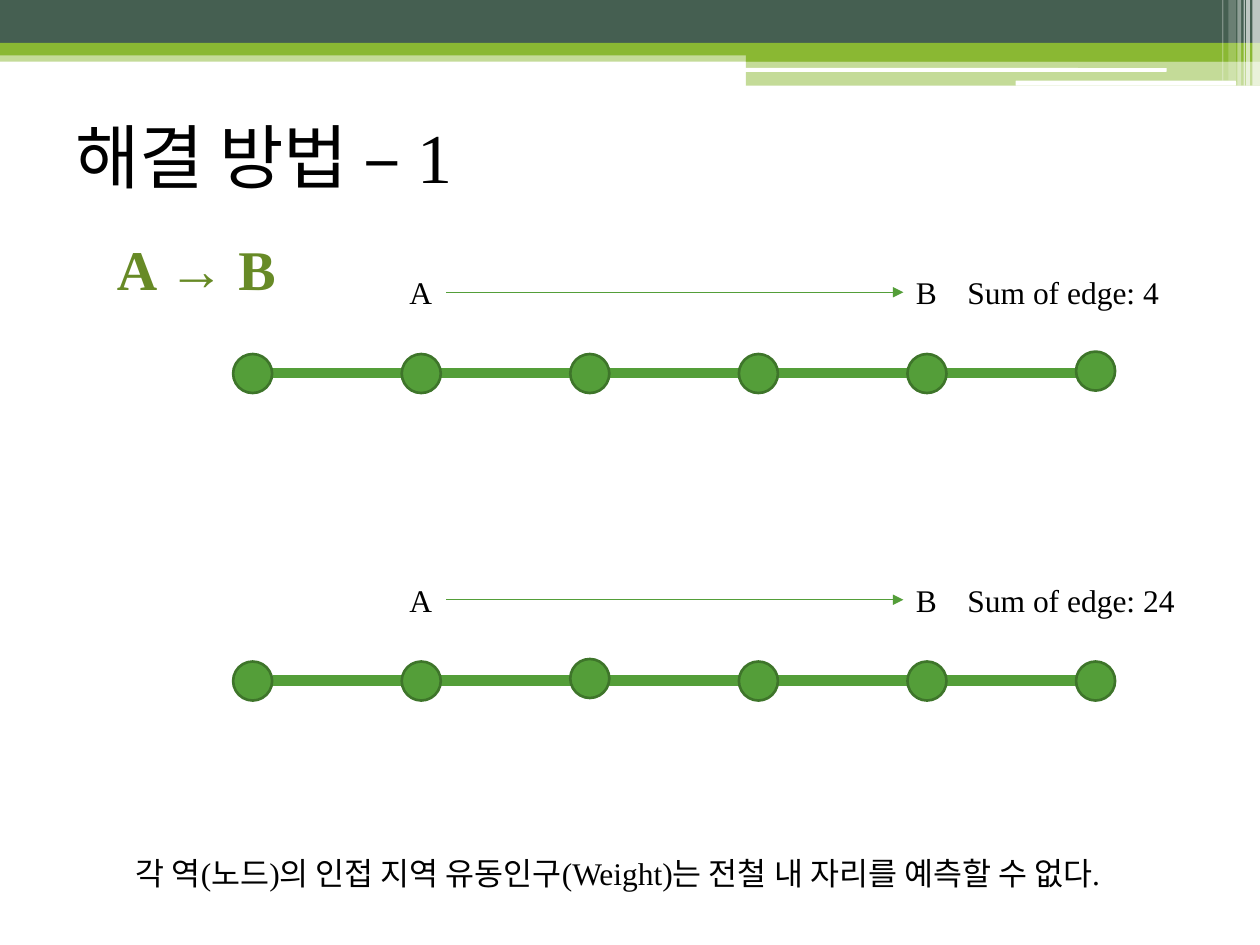
from dataclasses import dataclass

from lxml.etree import SubElement
from pptx import Presentation
from pptx.dml.color import RGBColor
from pptx.enum.shapes import MSO_CONNECTOR as CONN, MSO_SHAPE as SHAPE
from pptx.enum.text import MSO_ANCHOR as ANCHOR
from pptx.oxml.ns import qn
from pptx.util import Inches, Pt


@dataclass(frozen=True)
class Theme:
    font: str = "Times New Roman"
    text: str = "000000"
    heading: str = "678A26"
    dark: str = "455F51"
    lime: str = "8AB833"
    white: str = "FFFFFF"
    node: str = "549E39"
    node_line: str = "3E752A"
    title_size: int = 40
    heading_size: int = 32
    body_size: int = 18


THEME = Theme()
NODE_COUNT, NODE_LEFT, NODE_PITCH, NODE_SIZE = 6, 1.85, 1.338, 0.31


def rgb(color):
    return RGBColor.from_string(color)


def add_filled(slide, kind, box, color, opacity=100):
    """Add an unlined preset shape; box is left, top, width, height in inches."""
    sp = slide.shapes.add_shape(kind, *map(Inches, box))
    sp.shadow.inherit = False
    sp.fill.solid()
    sp.fill.fore_color.rgb = rgb(color)
    sp.line.fill.background()
    if opacity < 100:
        clr = sp._element.spPr.find(".//" + qn("a:srgbClr"))
        SubElement(clr, qn("a:alpha"), val=str(opacity * 1000))
    return sp


def add_line(slide, x1, x2, y, width, arrow=False):
    line = slide.shapes.add_connector(CONN.STRAIGHT, *map(Inches, (x1, y, x2, y)))
    line.line.color.rgb = rgb(THEME.node)
    line.line.width = Pt(width)
    if arrow:
        SubElement(line.line._get_or_add_ln(), qn("a:tailEnd"), type="triangle")
    SubElement(line._element.spPr, qn("a:effectLst"))


def add_text(slide, box, text, size=THEME.body_size, color=THEME.text,
             bold=False, anchor=ANCHOR.TOP, tab=None):
    tf = slide.shapes.add_textbox(*map(Inches, box)).text_frame
    tf.word_wrap = True
    tf.vertical_anchor = anchor
    p = tf.paragraphs[0]
    p.text = text
    if tab:
        tabs = SubElement(p._p.get_or_add_pPr(), qn("a:tabLst"))
        SubElement(tabs, qn("a:tab"), pos=str(Inches(tab)), algn="l")
    p.font.name = THEME.font
    p.font.size = Pt(size)
    p.font.bold = bold
    p.font.color.rgb = rgb(color)


def add_banner(slide):
    bands = [
        ((0, 0.4, 10, 0.09), THEME.lime, 50),
        ((0, 0, 10, 0.34), THEME.dark, 100),
        ((0, 0.34, 10, 0.1), THEME.lime, 100),
        ((5.92, 0.39, 4.08, 0.1), THEME.lime, 100),
        ((5.92, 0.48, 4.08, 0.2), THEME.lime, 50),
    ]
    for box, color, opacity in bands:
        add_filled(slide, SHAPE.RECTANGLE, box, color, opacity)
    for box in [(5.91, 0.54, 3.35, 0.03), (8.06, 0.64, 1.75, 0.04)]:
        add_filled(slide, SHAPE.ROUNDED_RECTANGLE, box, THEME.white)
    stripes = [
        (9.94, 0.06, 0.68, 65), (9.89, 0.03, 0.68, 65), (9.87, 0.01, 0.68, 60),
        (9.82, 0.03, 0.68, 40), (9.75, 0.06, 0.64, 20), (9.7, 0.01, 0.64, 30),
    ]
    for left, width, height, opacity in stripes:
        add_filled(slide, SHAPE.RECTANGLE, (left, 0, width, height),
                   THEME.white, opacity)


def add_route(slide, top, edge_sum, raised):
    """Add a chain of stations with its A to B label; one node sits raised."""
    add_line(slide, 2.17, 8.54, top + 0.84, 6)
    for i in range(NODE_COUNT):
        y = top + (0.67 if i == raised else 0.69)
        node = add_filled(
            slide, SHAPE.OVAL,
            (NODE_LEFT + i * NODE_PITCH, y, NODE_SIZE, NODE_SIZE), THEME.node)
        node.line.color.rgb = rgb(THEME.node_line)
        node.line.width = Pt(1.5)
    add_text(slide, (3.15, top, 0.38, 0.4), "A")
    add_text(slide, (7.17, top, 2.4, 0.4), f"B\tSum of edge: {edge_sum}", tab=0.41)
    add_line(slide, 3.54, 7.17, top + 0.2, 0.75, arrow=True)


def main():
    prs = Presentation()
    prs.slide_width, prs.slide_height = Inches(10), Inches(7.5)
    slide = prs.slides.add_slide(prs.slide_layouts[6])
    add_banner(slide)
    add_text(slide, (0.5, 0.65, 9, 1.17), "해결 방법 – 1",
             THEME.title_size, anchor=ANCHOR.MIDDLE)
    add_route(slide, 2.12, edge_sum=4, raised=5)
    add_route(slide, 4.56, edge_sum=24, raised=2)
    add_text(slide, (0.98, 6.73, 8.52, 0.4),
             "각 역(노드)의 인접 지역 유동인구(Weight)는 전철 내 자리를 예측할 수 없다.")
    add_text(slide, (0.83, 1.81, 1.75, 0.64), "A → B",
             THEME.heading_size, THEME.heading, bold=True)
    prs.save("out.pptx")


if __name__ == "__main__":
    main()
